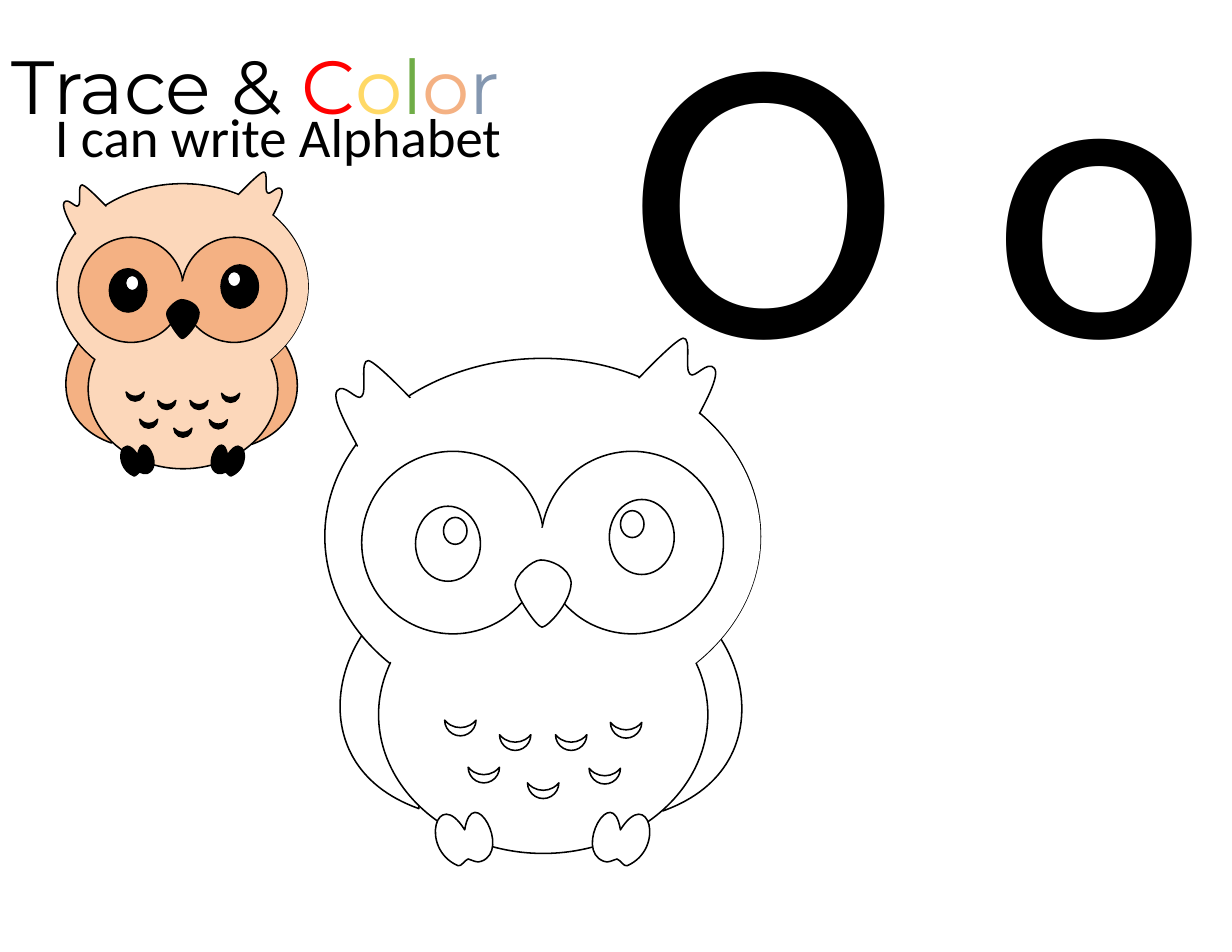
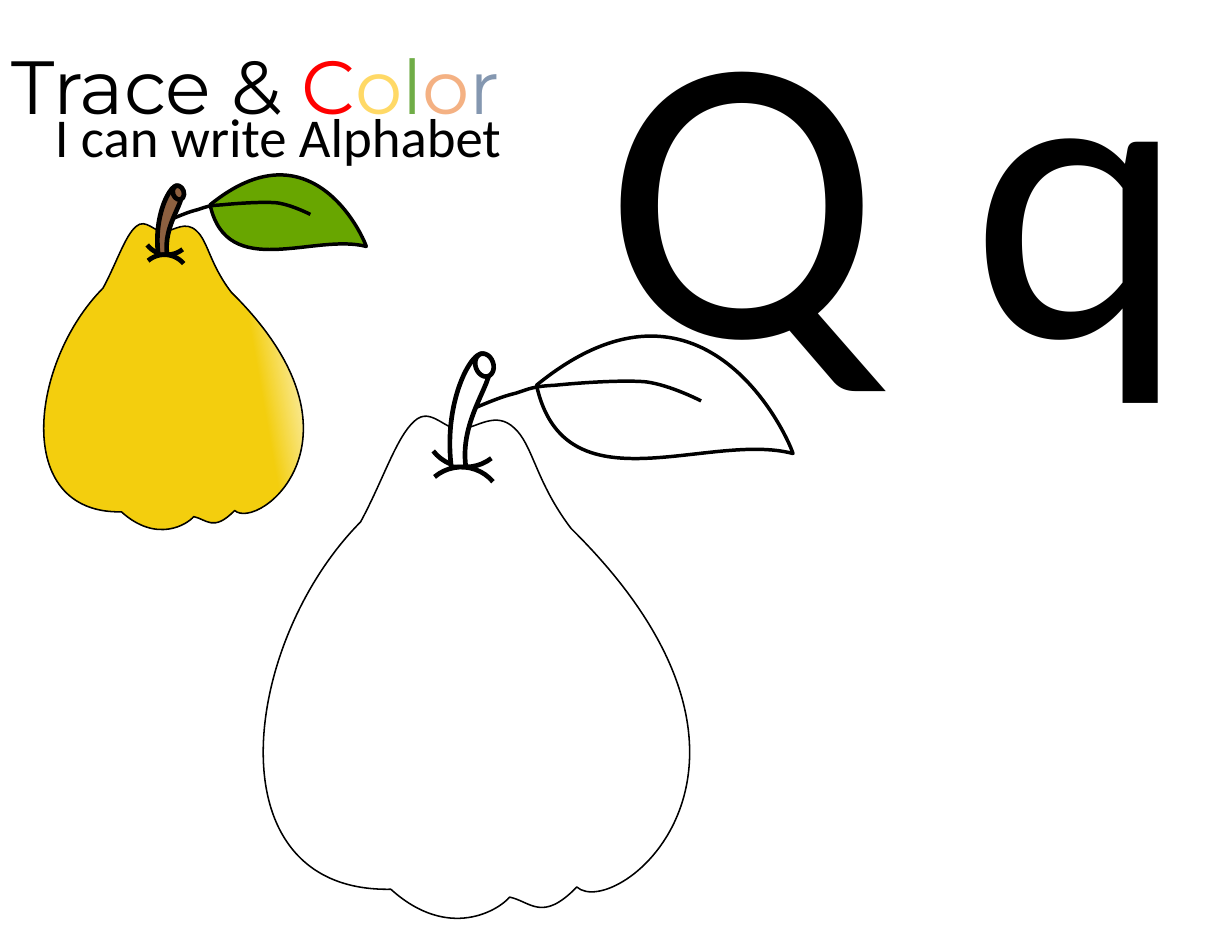
from lxml import etree
from pptx import Presentation
from pptx.dml.color import RGBColor
from pptx.enum.shapes import MSO_SHAPE
from pptx.enum.text import MSO_ANCHOR, MSO_AUTO_SIZE, PP_ALIGN
from pptx.oxml.ns import qn
from pptx.util import Inches, Pt

ELLIPSE, MOON, ARC = MSO_SHAPE.OVAL, MSO_SHAPE.MOON, MSO_SHAPE.ARC
TOP, LEFT, GROW = MSO_ANCHOR.TOP, PP_ALIGN.LEFT, MSO_AUTO_SIZE.SHAPE_TO_FIT_TEXT

BLACK = RGBColor(0x00, 0x00, 0x00)
WHITE = RGBColor(0xFF, 0xFF, 0xFF)
RED = RGBColor(0xFF, 0x00, 0x00)
YELLOW = RGBColor(0xFF, 0xD9, 0x66)
GREEN = RGBColor(0x70, 0xAD, 0x47)
ORANGE = RGBColor(0xF4, 0xB1, 0x83)
SLATE = RGBColor(0x84, 0x97, 0xB0)
PEACH = RGBColor(0xFC, 0xD7, 0xBA)
LEAF_GREEN = RGBColor(0x68, 0xA6, 0x00)
QUINCE_YELLOW = RGBColor(0xF3, 0xCE, 0x0E)
STEM_BROWN = RGBColor(0x8D, 0x60, 0x40)

TITLE = [("Trace & ", BLACK), ("C", RED), ("o", YELLOW), ("l", GREEN),
         ("o", ORANGE), ("r", SLATE)]
SUBTITLE = [("I can write Alphabet", BLACK)]
CURVE_STEPS = 16


def mirror(outline, axis_sum, drop=0):
    """Flip an outline left to right; axis_sum is twice the x of the axis."""
    return [(axis_sum - x, y + drop) for x, y in outline]


# Outlines: a start point, then three points for each cubic curve.
WING = [(3.74, 5.28), (3.04, 5.46), (2.59, 6.81), (3.74, 7.22)]
FOOT = [(4.3, 7.69), (4.57, 7.59), (4.22, 6.97), (4.15, 7.41),
        (3.9, 7.01), (3.74, 7.58), (4.09, 7.73),
        (4.12, 7.74), (4.15, 7.68), (4.18, 7.67),
        (4.22, 7.68), (4.26, 7.71), (4.3, 7.69)]
TUFT = [(3.21, 4.02), (3.16, 3.91), (2.95, 3.57), (3.01, 3.49),
        (3.07, 3.41), (3.19, 3.59), (3.23, 3.54),
        (3.28, 3.5), (3.21, 3.21), (3.29, 3.22),
        (3.36, 3.23), (3.69, 3.58), (3.69, 3.58)]
BEAK = [(4.6, 5.22), (4.6, 5.14), (4.75, 5), (4.83, 5),
        (4.91, 5), (5.08, 5.06), (5.1, 5.2),
        (5.1, 5.38), (4.89, 5.6), (4.84, 5.6),
        (4.79, 5.6), (4.6, 5.31), (4.6, 5.22)]
LEAF = [(4.79, 3.44), (6.26, 2.24), (7.02, 3.86), (7.08, 4.05),
        (6.32, 3.85), (5.04, 4.57), (4.79, 3.44)]
FRUIT = [(3.22, 4.66), (3.42, 4.29), (3.54, 3.9), (3.7, 3.76),
         (3.85, 3.62), (3.98, 3.86), (4.13, 3.83),
         (4.27, 3.81), (4.43, 3.67), (4.59, 3.82),
         (4.76, 3.97), (4.78, 4.3), (5.1, 4.72),
         (7.26, 6.85), (5.5, 8.23), (5.15, 7.92),
         (4.84, 8.24), (4.74, 8.05), (4.55, 8.01),
         (4.46, 8.12), (4.01, 8.41), (3.49, 7.94),
         (1.88, 7.97), (2.15, 5.74), (3.22, 4.66)]
VEIN = [(4.2, 3.66), (4.34, 3.6), (4.48, 3.54), (4.61, 3.51),
        (4.73, 3.47), (4.76, 3.45), (4.96, 3.44),
        (5.15, 3.42), (5.56, 3.39), (5.77, 3.41),
        (5.99, 3.44), (6.26, 3.58), (6.26, 3.58)]
STEM = [(4.03, 4.17), (3.94, 3.46), (4.34, 2.91), (4.37, 3.27),
        (4.41, 3.41), (4.1, 3.75), (4.16, 4.17)]

FEATHERS = [(5.03, 6.49), (4.53, 6.49), (4.04, 6.36), (4.24, 6.02), (4.77, 6.13),
            (5.33, 6.02), (5.52, 6.38), (5.33, 6.79), (4.78, 6.92), (4.25, 6.78)]

# Preset parts: role, line width, preset, (left, top, width, height), rotation.
# Outline parts: role, line width, outline, closed.
OWL = [
    ("wing", 1, WING, True),
    ("wing", 1, mirror(WING, 9.66, 0.02), True),
    ("body", 1, ELLIPSE, (2.9, 3.2, 3.89, 3.18), 0),
    ("body", 1, ELLIPSE, (3.61, 4.91, 2.48, 2.94), 90),
    ("dark", 1, mirror(FOOT, 9.69), True),
    *[("dark", 1, MOON, (left, top, 0.14, 0.28), 270) for left, top in FEATHERS],
    ("body", 1, TUFT, False),
    ("dark", 1, FOOT, True),
    ("body", 1, mirror(TUFT, 9.39, -0.2), False),
    ("body", 0, ELLIPSE, (2.92, 3.22, 3.87, 3.15), 0),
    ("wing", 1, ELLIPSE, (3.23, 4.03, 1.63, 1.63), 0),
    ("wing", 1, ELLIPSE, (4.83, 4.03, 1.63, 1.63), 0),
    ("dark", 1, ELLIPSE, (3.71, 4.52, 0.58, 0.67), 0),
    ("glint", 1, ELLIPSE, (3.96, 4.62, 0.21, 0.24), 0),
    ("dark", 1, ELLIPSE, (5.44, 4.46, 0.58, 0.67), 0),
    ("glint", 1, ELLIPSE, (5.54, 4.56, 0.21, 0.24), 0),
    ("wing", 0, ELLIPSE, (4.75, 4.71, 0.21, 0.38), 0),
    ("dark", 1, BEAK, True),
]
QUINCE = [
    ("leaf", 2.25, LEAF, True),
    ("fruit", 1, FRUIT, True),
    ("vein", 2.25, VEIN, False),
    ("dimple", 3, ARC, (3.79, 3.43, 0.74, 0.74), 142.1),
    ("stem", 3, STEM, True),
    ("stem", 3, ELLIPSE, (4.22, 3.18, 0.21, 0.16), 71.2),
    ("dimple", 3, ARC, (3.75, 4.17, 0.74, 0.74), 319.7),
]

# A tuple of colours is a gradient, None leaves the part unfilled.
OWL_COLOURS = {"wing": ORANGE, "body": PEACH, "dark": BLACK, "glint": WHITE}
QUINCE_COLOURS = {"leaf": LEAF_GREEN, "fruit": (WHITE, QUINCE_YELLOW), "vein": None,
                  "dimple": QUINCE_YELLOW, "stem": STEM_BROWN}

# The sample sits at (left, top), scaled from the anchor point of the large drawing.
PAGES = [
    {"letters": "O o", "letters_left": 5.51, "parts": OWL, "colours": OWL_COLOURS,
     "anchor": (2.9, 3.2), "sample": (0.51, 1.64), "scale": 0.576},
    {"letters": "Q q", "letters_left": 5.3, "parts": QUINCE, "colours": QUINCE_COLOURS,
     "anchor": (2.35, 3.72), "sample": (0.39, 2), "scale": 0.609},
]


def write(box, frame, spans, size, font):
    box.left, box.top, box.width, box.height = [Inches(value) for value in frame]
    text = box.text_frame
    text.word_wrap = True
    text.vertical_anchor = TOP
    text.auto_size = GROW
    para = text.paragraphs[0]
    para.alignment = LEFT
    para.space_before = Pt(0)
    for words, colour in spans:
        span = para.add_run()
        span.text = words
        span.font.size = Pt(size)
        span.font.name = font
        span.font.color.rgb = colour


def flatten(outline):
    """Sample a chain of cubic curves, to find how far it reaches."""
    points = [outline[0]]
    for first in range(0, len(outline) - 1, 3):
        a, b, c, d = outline[first:first + 4]
        for step in range(1, CURVE_STEPS + 1):
            t = step / CURVE_STEPS
            u = 1 - t
            points.append(tuple(
                u**3 * a[i] + 3 * u * u * t * b[i] + 3 * u * t * t * c[i] + t**3 * d[i]
                for i in (0, 1)))
    return points


def add_outline(shapes, outline, closed):
    """Add a freeform of the right extent, then give its path the cubic curves."""
    start, *others = flatten(outline)
    builder = shapes.build_freeform(*start)
    builder.add_line_segments(others, close=closed)
    shape = builder.convert_to_shape()
    track = next(shape.element.iter(qn("a:path")))
    for line in track.findall(qn("a:lnTo")):
        track.remove(line)
    for first in range(1, len(outline), 3):
        curve = etree.Element(qn("a:cubicBezTo"))
        for x, y in outline[first:first + 3]:
            etree.SubElement(curve, qn("a:pt"), x=str(x - shape.left), y=str(y - shape.top))
        track.insert(1 + first // 3, curve)
    return shape


def paint(shape, colour, line_width):
    shape.shadow.inherit = False
    fill = shape.fill
    if colour is None:
        fill.background()
    elif isinstance(colour, RGBColor):
        fill.solid()
        fill.fore_color.rgb = colour
    else:
        fill.gradient()
        fill.gradient_angle = 190
        for stop, shade, position in zip(fill.gradient_stops, colour, (0, 0.23)):
            stop.color.rgb = shade
            stop.position = position
    if line_width:
        shape.line.color.rgb = BLACK
        shape.line.width = Pt(line_width)
    else:
        shape.line.fill.background()


def draw(page, parts, colours, anchor, corner, scale):
    def place(point):
        return [Inches(corner[i] + (point[i] - anchor[i]) * scale) for i in (0, 1)]

    shapes = page.shapes.add_group_shape().shapes
    for role, line_width, form, *details in parts:
        if isinstance(form, list):
            shape = add_outline(shapes, [place(point) for point in form], details[0])
        else:
            (left, top, width, height), rotation = details
            shape = shapes.add_shape(form, *place((left, top)),
                                     Inches(width * scale), Inches(height * scale))
            shape.rotation = rotation
            if form == MOON:
                shape.adjustments[0] = 0.524
        paint(shape, colours[role], line_width)


def add_page(deck, content):
    page = deck.slides.add_slide(deck.slide_layouts[0])
    title, subtitle = page.placeholders
    write(title, (0, 0.3, 5.51, 0.92), TITLE, 48.4, "Montserrat")
    write(subtitle, (0.39, 0.87, 4.33, 0.69), SUBTITLE, 35.2, "Calibri")
    letters = page.shapes.add_textbox(0, 0, 0, 0)
    write(letters, (content["letters_left"], -0.69, 6.57, 4.53),
          [(content["letters"], BLACK)], 262.9, "Calibri")

    parts, colours, anchor = content["parts"], content["colours"], content["anchor"]
    blank = {role: colour and WHITE for role, colour in colours.items()}
    draw(page, parts, colours, anchor, content["sample"], content["scale"])
    draw(page, parts, blank, anchor, anchor, 1)


def main():
    deck = Presentation()
    deck.slide_width, deck.slide_height = Inches(11), Inches(8.5)
    for content in PAGES:
        add_page(deck, content)
    deck.save("out.pptx")


if __name__ == "__main__":
    main()
